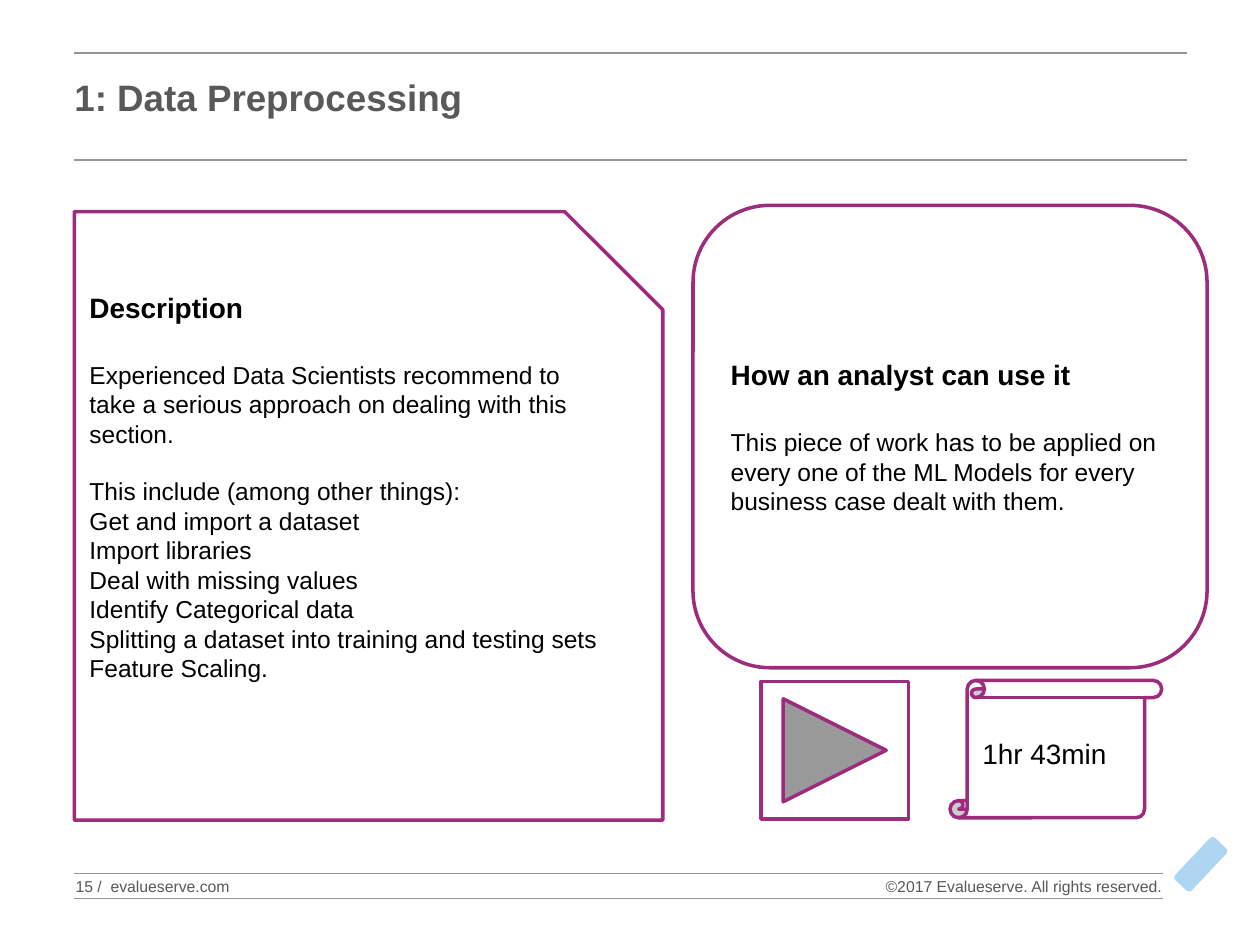
import pptx
import pptx.dml.color
import pptx.enum.shapes
import pptx.enum.text
import pptx.oxml
import pptx.oxml.ns
import pptx.util

RGBColor = pptx.dml.color.RGBColor
WHITE = RGBColor(0xFF, 0xFF, 0xFF)
BLACK = RGBColor(0, 0, 0)
GREY = RGBColor(0x59, 0x59, 0x59)
RULE = RGBColor(0x93, 0x95, 0x98)
PURPLE = RGBColor(0x9D, 0x2C, 0x7D)
PALE_BLUE = RGBColor(0xAD, 0xD6, 0xF2)

SHAPE = pptx.enum.shapes.MSO_SHAPE
ANCHOR = pptx.enum.text.MSO_ANCHOR
ALIGN = pptx.enum.text.PP_ALIGN

COLUMNS, ROWS = 100, 75
LEFT, RIGHT, FOOT_RIGHT = 5.9, 94.2, 92.3
INSET = 1.2


class SlideBuilder:
    """Places styled elements on one slide, measured in grid columns and rows."""

    def __init__(self, deck):
        self.column = deck.slide_width / COLUMNS
        self.row = deck.slide_height / ROWS
        self.page = deck.slides.add_slide(deck.slide_layouts[5])

    def area(self, left, top, width, height):
        return (round(left * self.column), round(top * self.row),
                round(width * self.column), round(height * self.row))

    def rule(self, row, right):
        start_x, y, end_x, _ = self.area(LEFT, row, right, 0)
        line = self.page.shapes.add_connector(
            pptx.enum.shapes.MSO_CONNECTOR.STRAIGHT, start_x, y, end_x, y)
        line.line.color.rgb = RULE
        line.line.width = pptx.util.Pt(0.75)
        line._element.spPr.append(pptx.oxml.parse_xml(
            f'<a:effectLst {pptx.oxml.ns.nsdecls("a")}/>'))

    def frame(self, box, anchor, insets):
        """Set wrapping, anchor and insets (left, top, right, bottom)."""
        frame = box.text_frame
        frame.word_wrap = True
        frame.auto_size = pptx.enum.text.MSO_AUTO_SIZE.NONE
        frame.vertical_anchor = anchor
        left, top, right, bottom = self.area(*insets)
        frame.margin_left, frame.margin_top = left, top
        frame.margin_right, frame.margin_bottom = right, bottom
        return frame

    def add_lines(self, frame, lines, color=BLACK, align=ALIGN.LEFT):
        """Each line is (text, size, bold, space before)."""
        for index, (text, size, bold, gap) in enumerate(lines):
            para = frame.paragraphs[0] if index == 0 else frame.add_paragraph()
            para.alignment = align
            para.space_before = pptx.util.Pt(gap)
            span = para.add_run()
            span.text = text
            span.font.name = "Arial"
            span.font.size = pptx.util.Pt(size)
            span.font.bold = bold
            span.font.color.rgb = color

    def title(self, text, area):
        box = self.page.shapes.title
        box.left, box.top, box.width, box.height = self.area(*area)
        frame = self.frame(box, ANCHOR.TOP, (0, 0.5, 0, 0.5))
        self.add_lines(frame, [(text, 21, True, 0)], GREY)

    def label(self, text, area, align):
        box = self.page.shapes.add_textbox(*self.area(*area))
        frame = self.frame(box, ANCHOR.MIDDLE, (0, 0, 0, 0))
        self.add_lines(frame, [(text, 9, False, 0)], GREY, align)

    def shape(self, kind, area, fill=WHITE, outline=PURPLE):
        shape = self.page.shapes.add_shape(kind, *self.area(*area))
        shape.shadow.inherit = False
        shape.fill.solid()
        shape.fill.fore_color.rgb = fill
        if outline is None:
            shape.line.fill.background()
        else:
            shape.line.color.rgb = outline
            shape.line.width = pptx.util.Pt(2)
        return shape

    def panel(self, kind, area, lines, bottom=INSET):
        shape = self.shape(kind, area)
        frame = self.frame(shape, ANCHOR.MIDDLE, (INSET, INSET, INSET, bottom))
        self.add_lines(frame, lines)


def main():
    deck = pptx.Presentation()
    deck.slide_width = pptx.util.Inches(10)
    deck.slide_height = pptx.util.Inches(7.5)
    builder = SlideBuilder(deck)

    for row, right in ((4.2, RIGHT), (12.7, RIGHT),
                       (69.3, FOOT_RIGHT), (71.3, FOOT_RIGHT)):
        builder.rule(row, right)
    builder.title("1: Data Preprocessing", (LEFT, 5.4, RIGHT - LEFT, 7.8))
    builder.label("©2017 Evalueserve. All rights reserved.",
                  (60.5, 69.4, 31.7, 1.8), ALIGN.RIGHT)
    builder.label("15 /  evalueserve.com", (6, 69.3, 14.7, 2), ALIGN.LEFT)
    emblem = builder.shape(SHAPE.ROUNDED_RECTANGLE, (94.4, 66.3, 1.8, 4.6),
                           PALE_BLUE, None)
    emblem.rotation = 43.3

    builder.panel(SHAPE.ROUNDED_RECTANGLE, (55, 16.3, 40.8, 36.7), [
        ("How an analyst can use it", 16, True, 0),
        ("This piece of work has to be applied on every one of the ML Models "
         "for every business case dealt with them.", 14, False, 20.7),
    ])
    steps = ["Get and import a dataset", "Import libraries",
             "Deal with missing values", "Identify Categorical data",
             "Splitting a dataset into training and testing sets",
             "Feature Scaling."]
    builder.panel(SHAPE.SNIP_1_RECTANGLE, (LEFT, 16.8, 46.7, 48.3), [
        ("Description", 16, True, 0),
        ("Experienced Data Scientists recommend to take a serious approach "
         "on dealing with this section.", 14, False, 20.7),
        ("This include (among other things):", 14, False, 16.1),
        *[(step, 14, False, 0) for step in steps],
    ], bottom=9.8)
    builder.panel(SHAPE.VERTICAL_SCROLL, (75.4, 54, 16.8, 10.9),
                  [("1hr 43min", 16, False, 0)])
    builder.shape(SHAPE.ACTION_BUTTON_FORWARD_OR_NEXT, (60.4, 54.1, 11.7, 10.9))

    deck.save("out.pptx")


if __name__ == "__main__":
    main()
